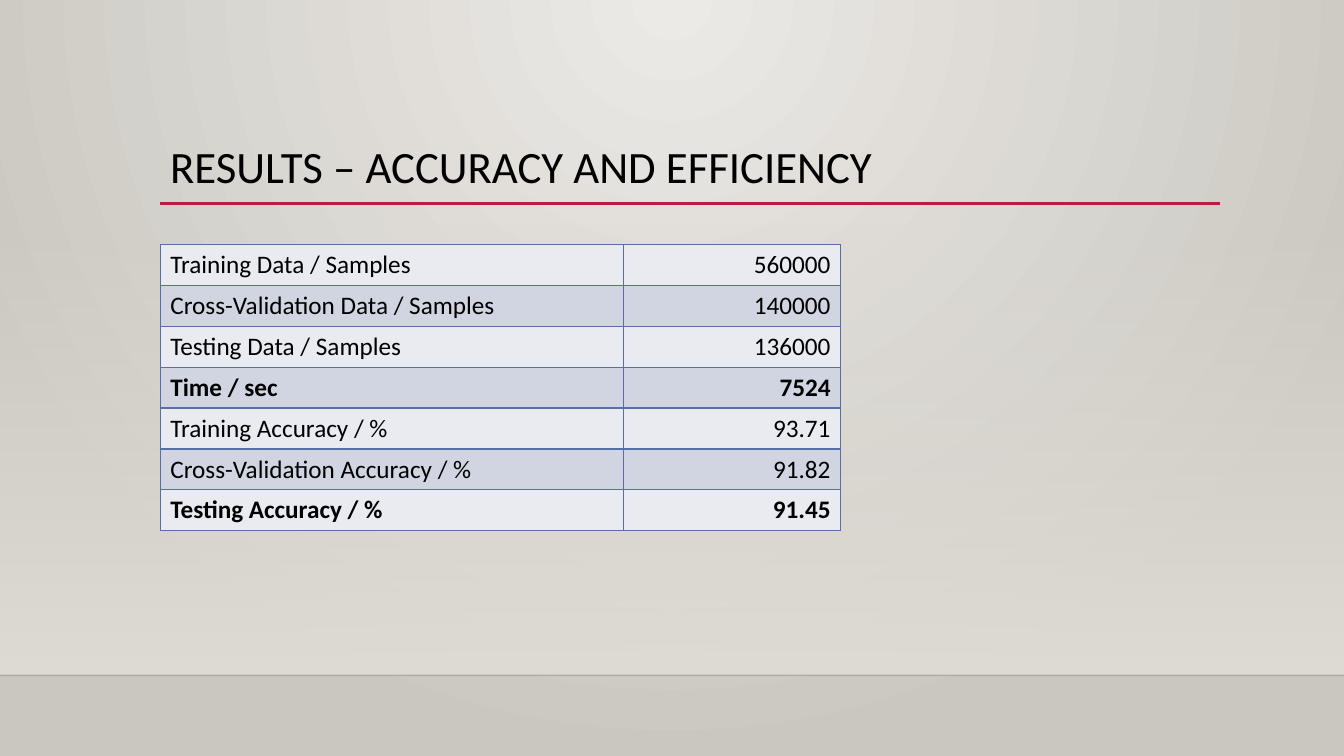
from dataclasses import dataclass

from lxml import etree
from pptx import Presentation
from pptx import util as u
from pptx.dml.color import RGBColor
from pptx.enum import shapes, text
from pptx.oxml import parse_xml
from pptx.oxml.ns import nsdecls, qn

COLORS = {
    "glow": "ECEAE7",
    "edge": "CAC7C1",
    "floor": "DFDBD5",
    "horizon": "000001",
    "accent": "B71E42",
    "text": "000000",
    "border": "586EA6",
    "light_row": "EAEBF1",
    "dark_row": "D1D5E1",
}
FONT = "Calibri"
SLIDE_WIDTH, SLIDE_HEIGHT = 960, 540
LEFT = 114.5
COLUMN_WIDTHS = (331, 155)
ROW_HEIGHT = 29.2


@dataclass
class Stop:
    position: int
    color: str
    opacity: int = 100


@dataclass
class Rule:
    left: float
    right: float
    y: float
    color: str
    width: float
    opacity: int = 100


@dataclass
class Result:
    label: str
    value: str
    bold: bool = False


RULES = [
    Rule(0, SLIDE_WIDTH, 482.4, "horizon", 1, opacity=20),
    Rule(LEFT, 871.2, 145.4, "accent", 2.5),
]
RESULTS = [
    Result("Training Data / Samples", "560000"),
    Result("Cross-Validation Data / Samples", "140000"),
    Result("Testing Data / Samples", "136000"),
    Result("Time / sec", "7524", bold=True),
    Result("Training Accuracy / %", "93.71"),
    Result("Cross-Validation Accuracy / %", "91.82"),
    Result("Testing Accuracy / %", "91.45", bold=True),
]


def rgb(name: str) -> RGBColor:
    return RGBColor.from_string(COLORS[name])


def set_gradient(parent, stops: list[Stop], direction: str) -> None:
    """Replace the gradient fill below parent with the given stops."""
    stop_xml = "".join(
        f'<a:gs pos="{stop.position * 1000}"><a:srgbClr val="{COLORS[stop.color]}">'
        f'<a:alpha val="{stop.opacity * 1000}"/></a:srgbClr></a:gs>'
        for stop in stops
    )
    gradient = parse_xml(
        f'<a:gradFill {nsdecls("a")} rotWithShape="1">'
        f"<a:gsLst>{stop_xml}</a:gsLst>{direction}</a:gradFill>"
    )
    current = parent.find(".//" + qn("a:gradFill"))
    current.getparent().replace(current, gradient)


def add_text(paragraph, content: str, size: float, bold: bool = False) -> None:
    run = paragraph.add_run()
    run.text = content
    run.font.name = FONT
    run.font.size = u.Pt(size)
    run.font.bold = bold
    run.font.color.rgb = rgb("text")


def draw_background(slide) -> None:
    slide.background.fill.gradient()
    set_gradient(
        slide.element,
        [Stop(0, "glow"), Stop(100, "edge")],
        '<a:path path="circle">'
        '<a:fillToRect l="43000" t="0" r="43000" b="100000"/></a:path>',
    )


def draw_floor(slide) -> None:
    shape = slide.shapes.add_shape(
        shapes.MSO_SHAPE.RECTANGLE, 0, u.Pt(159), u.Pt(SLIDE_WIDTH), u.Pt(323.4)
    )
    shape.shadow.inherit = False
    shape.line.fill.background()
    shape.fill.gradient()
    set_gradient(
        shape.element,
        [Stop(0, "floor", opacity=0), Stop(100, "floor")],
        '<a:lin ang="5400000" scaled="0"/>',
    )


def draw_rule(slide, rule: Rule) -> None:
    connector = slide.shapes.add_connector(
        shapes.MSO_CONNECTOR.STRAIGHT,
        u.Pt(rule.left), u.Pt(rule.y), u.Pt(rule.right), u.Pt(rule.y),
    )
    connector.line.width = u.Pt(rule.width)
    connector.line.color.rgb = rgb(rule.color)
    properties = connector.element.spPr
    if rule.opacity < 100:
        color = properties.find(".//" + qn("a:srgbClr"))
        etree.SubElement(color, qn("a:alpha"), val=str(rule.opacity * 1000))
    etree.SubElement(properties, qn("a:effectLst"))


def draw_title(slide) -> None:
    shape = slide.shapes.add_textbox(u.Pt(LEFT), u.Pt(63.4), u.Pt(756), u.Pt(82.8))
    frame = shape.text_frame
    frame.word_wrap = True
    frame.vertical_anchor = text.MSO_ANCHOR.BOTTOM
    frame.margin_bottom = u.Pt(8.5)
    paragraph = frame.paragraphs[0]
    paragraph.line_spacing = 0.9
    add_text(paragraph, "RESULTS – ACCURACY AND EFFICIENCY", 32)


def set_borders(cell) -> None:
    properties = cell._tc.get_or_add_tcPr()
    for side in ("lnL", "lnR", "lnT", "lnB"):
        properties.append(parse_xml(
            f'<a:{side} {nsdecls("a")} w="{u.Pt(1)}"><a:solidFill>'
            f'<a:srgbClr val="{COLORS["border"]}"/></a:solidFill></a:{side}>'
        ))


def draw_results(slide) -> None:
    table = slide.shapes.add_table(
        len(RESULTS), len(COLUMN_WIDTHS), u.Pt(LEFT), u.Pt(174.7),
        u.Pt(sum(COLUMN_WIDTHS)), u.Pt(ROW_HEIGHT * len(RESULTS)),
    ).table
    table.first_row = False
    table.horz_banding = False
    for column, width in zip(table.columns, COLUMN_WIDTHS):
        column.width = u.Pt(width)
    alignments = (text.PP_ALIGN.LEFT, text.PP_ALIGN.RIGHT)
    for index, (row, result) in enumerate(zip(table.rows, RESULTS)):
        row.height = u.Pt(ROW_HEIGHT)
        contents = (result.label, result.value)
        for cell, content, alignment in zip(row.cells, contents, alignments):
            set_borders(cell)
            cell.fill.solid()
            cell.fill.fore_color.rgb = rgb("dark_row" if index % 2 else "light_row")
            paragraph = cell.text_frame.paragraphs[0]
            paragraph.alignment = alignment
            add_text(paragraph, content, 18, result.bold)


def main() -> None:
    presentation = Presentation()
    presentation.slide_width = u.Pt(SLIDE_WIDTH)
    presentation.slide_height = u.Pt(SLIDE_HEIGHT)
    slide = presentation.slides.add_slide(presentation.slide_layouts[6])

    # Backdrop
    draw_background(slide)
    draw_floor(slide)
    for rule in RULES:
        draw_rule(slide, rule)

    # Content
    draw_title(slide)
    draw_results(slide)

    presentation.save("out.pptx")


if __name__ == "__main__":
    main()
